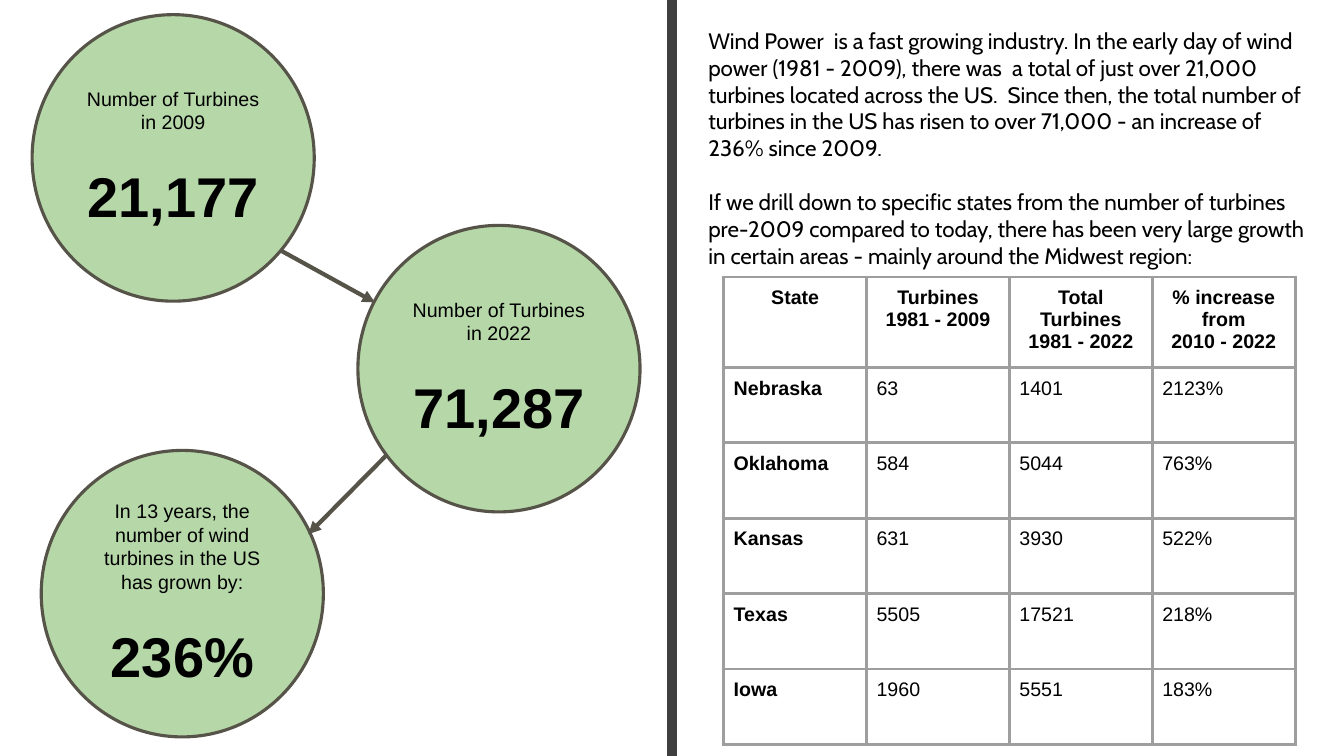
from lxml import etree
from pptx import Presentation
from pptx.dml.color import RGBColor
from pptx.enum.shapes import MSO_CONNECTOR, MSO_SHAPE
from pptx.enum.text import MSO_ANCHOR, PP_ALIGN
from pptx.oxml.ns import qn
from pptx.util import Cm, Pt

STRAIGHT = MSO_CONNECTOR.STRAIGHT
RECTANGLE, OVAL = MSO_SHAPE.RECTANGLE, MSO_SHAPE.OVAL
TOP, MIDDLE = MSO_ANCHOR.TOP, MSO_ANCHOR.MIDDLE
LEFT, CENTER = PP_ALIGN.LEFT, PP_ALIGN.CENTER

COLORS = {
    "text": "000000",
    "paper": "FFFFFF",
    "divider": "3F3F3F",
    "circle": "B6D7A8",
    "outline": "565349",
    "grid": "9E9E9E",
}
INSETS = {f"margin_{side}": Cm(0.25) for side in ("left", "top", "right", "bottom")}
CIRCLE_WIDTH, CIRCLE_HEIGHT = 7.11, 7.22

STORY = [
    "Wind Power  is a fast growing industry. In the early day of wind power "
    "(1981 - 2009), there was  a total of just over 21,000 turbines located across "
    "the US.  Since then, the total number of turbines in the US has risen to over "
    "71,000 - an increase of 236% since 2009.",
    "If we drill down to specific states from the number of turbines pre-2009 "
    "compared to today, there has been very large growth in certain areas - mainly "
    "around the Midwest region:",
]
CIRCLES = [
    (0.81, 0.37, "Number of Turbines in 2009", "21,177"),
    (1.04, 11.35, "In 13 years, the number of wind turbines in the US has grown by:", "236%"),
    (9.02, 5.68, "Number of Turbines in 2022", "71,287"),
]
ARROWS = [(7.09, 6.32, 9.45, 7.62), (9.73, 11.48, 7.77, 13.46)]
STATES = [
    ("State", "Turbines 1981 - 2009", "Total Turbines 1981 - 2022", "% increase from\n2010 - 2022"),
    ("Nebraska", "63", "1401", "2123%"),
    ("Oklahoma", "584", "5044", "763%"),
    ("Kansas", "631", "3930", "522%"),
    ("Texas", "5505", "17521", "218%"),
    ("Iowa", "1960", "5551", "183%"),
]


def color(name):
    return RGBColor.from_string(COLORS[name])


def apply(target, values):
    for name, value in values.items():
        setattr(target, name, value)


class TurbineSlide:
    def __init__(self, page):
        self.page = page
        self.label = {"name": "Arial", "size": Pt(14), "bold": False}
        self.figure = {"name": "Arial", "size": Pt(40), "bold": True}
        self.prose = {"name": "Cabin", "size": Pt(16), "bold": False}

    def style_text(self, para, font, **layout):
        apply(para, layout)
        for span in para.runs:
            apply(span.font, font)
            span.font.color.rgb = color("text")

    def shape(self, kind, left, top, width, height, fill):
        shape = self.page.shapes.add_shape(kind, Cm(left), Cm(top), Cm(width), Cm(height))
        shape.shadow.inherit = False
        shape.fill.solid()
        shape.fill.fore_color.rgb = color(fill)
        shape.line.fill.background()
        return shape

    def body(self, left, top, width, height, paragraphs):
        box = self.page.placeholders[1]
        apply(box, {"left": Cm(left), "top": Cm(top), "width": Cm(width), "height": Cm(height)})
        frame = box.text_frame
        apply(frame, {**INSETS, "word_wrap": True, "vertical_anchor": TOP})
        frame.text = "\n".join(paragraphs)
        for index, para in enumerate(frame.paragraphs):
            gap = Pt(19.4) if index else Pt(0)
            self.style_text(para, self.prose, alignment=LEFT, space_before=gap, line_spacing=1.0)
            properties = para._p.get_or_add_pPr()
            properties.set("marL", "0")
            properties.set("indent", "0")
            etree.SubElement(properties, qn("a:buNone"))

    def circle(self, left, top, label, figure):
        circle = self.shape(OVAL, left, top, CIRCLE_WIDTH, CIRCLE_HEIGHT, "circle")
        circle.line.color.rgb = color("outline")
        circle.line.width = Pt(2.25)
        frame = circle.text_frame
        apply(frame, {**INSETS, "word_wrap": True, "vertical_anchor": MIDDLE})
        frame.text = f"{label}\n{figure}"
        caption, number = frame.paragraphs
        self.style_text(caption, self.label, alignment=CENTER, line_spacing=Pt(16.8))
        self.style_text(number, self.figure, alignment=CENTER, space_before=Pt(20))

    def arrow(self, *ends):
        arrow = self.page.shapes.add_connector(STRAIGHT, *map(Cm, ends))
        arrow.line.color.rgb = color("outline")
        arrow.line.width = Pt(3)
        properties = arrow._element.spPr
        etree.SubElement(properties.get_or_add_ln(), qn("a:tailEnd"), type="triangle")
        etree.SubElement(properties, qn("a:effectLst"))

    def border(self, cell):
        properties = cell._tc.get_or_add_tcPr()
        for side in ("lnL", "lnR", "lnT", "lnB"):
            line = etree.SubElement(properties, qn(f"a:{side}"), w=str(Pt(2.25)))
            fill = etree.SubElement(line, qn("a:solidFill"))
            etree.SubElement(fill, qn("a:srgbClr"), val=COLORS["grid"])

    def table(self, left, top, column_width, header_height, row_height, rows):
        columns = len(rows[0])
        height = header_height + row_height * (len(rows) - 1)
        table = self.page.shapes.add_table(
            len(rows), columns, Cm(left), Cm(top), Cm(column_width * columns), Cm(height)
        ).table
        table.horz_banding = False
        for column in table.columns:
            column.width = Cm(column_width)
        for row_index, values in enumerate(rows):
            table.rows[row_index].height = Cm(row_height if row_index else header_height)
            for column_index, value in enumerate(values):
                cell = table.cell(row_index, column_index)
                cell.text = value
                apply(cell, {**INSETS, "vertical_anchor": TOP})
                self.border(cell)
                cell.fill.solid()
                cell.fill.fore_color.rgb = color("paper")
                font = {**self.label, "bold": row_index == 0 or column_index == 0}
                for para in cell.text_frame.paragraphs:
                    self.style_text(para, font, alignment=LEFT if row_index else CENTER)


def main():
    deck = Presentation()
    deck.slide_width, deck.slide_height = Cm(33.87), Cm(19.05)
    page = deck.slides.add_slide(deck.slide_layouts[1])
    title = page.shapes.title
    title.element.getparent().remove(title.element)

    slide = TurbineSlide(page)
    slide.shape(RECTANGLE, 16.81, 0, 0.25, 19.05, "divider")
    slide.body(17.6, 0.43, 15.67, 12.9, STORY)
    slide.table(18.24, 6.98, 3.6, 2.28, 1.9, STATES)
    for circle in CIRCLES:
        slide.circle(*circle)
    for arrow in ARROWS:
        slide.arrow(*arrow)
    deck.save("out.pptx")


if __name__ == "__main__":
    main()
